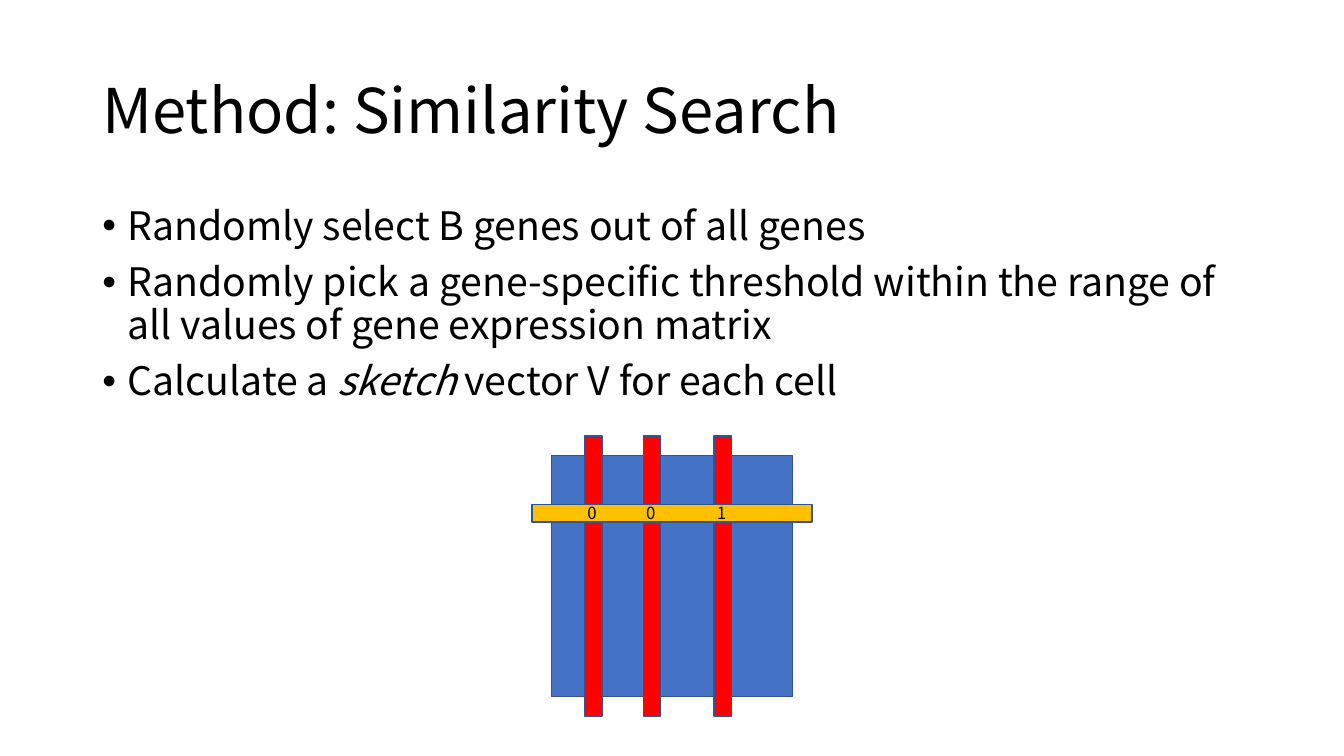
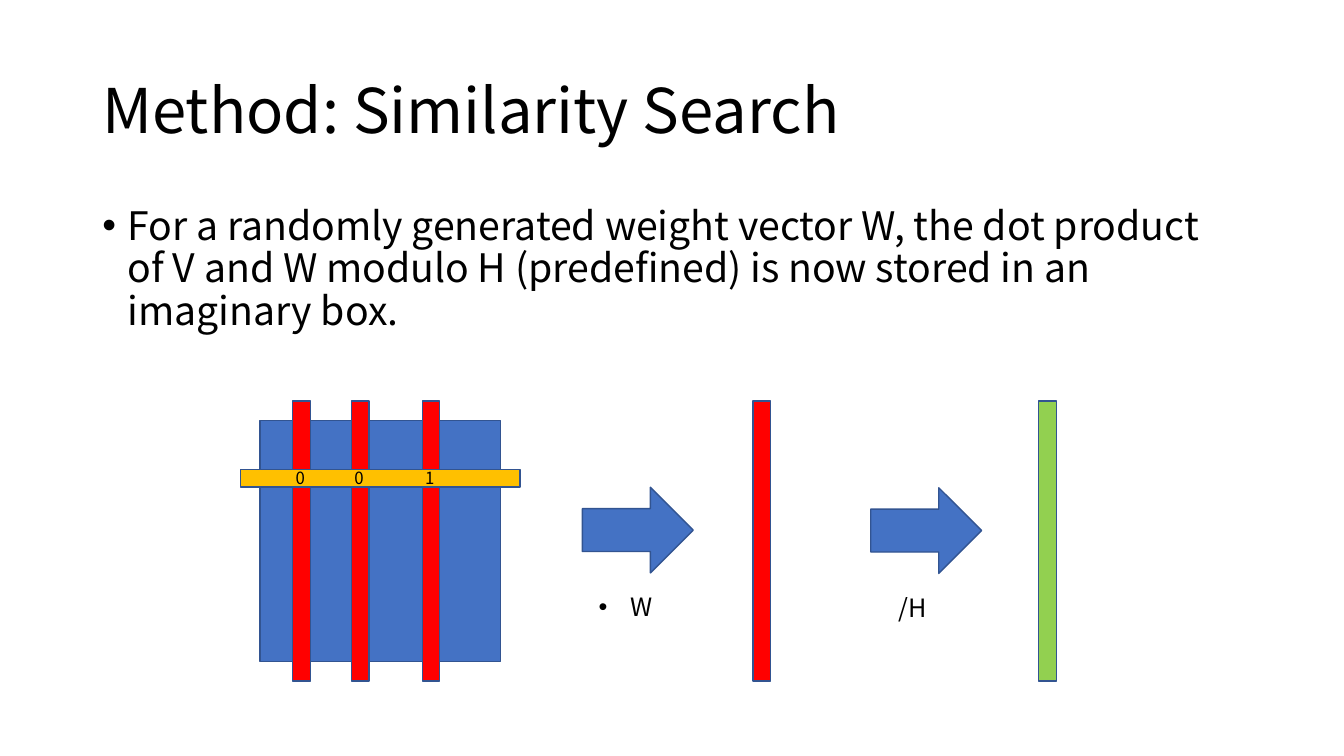
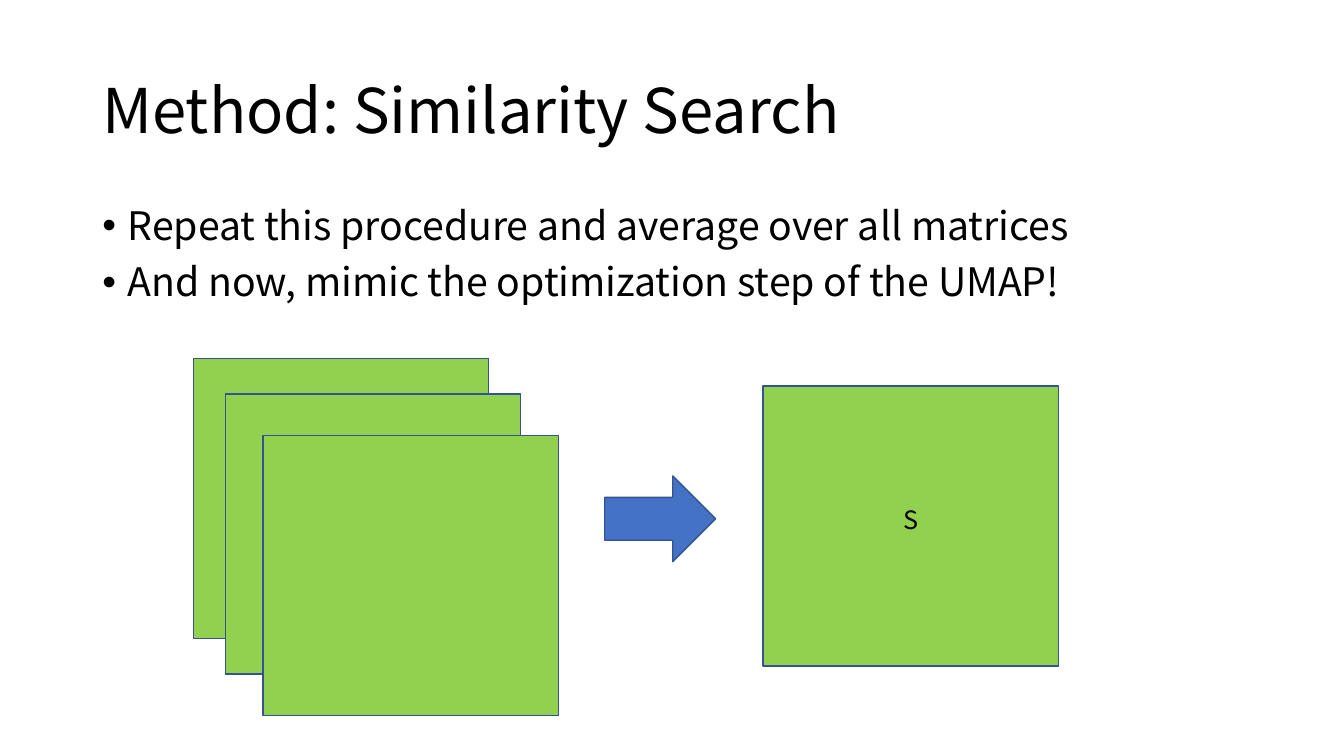
from dataclasses import dataclass

from lxml.etree import SubElement
from pptx import Presentation
from pptx.dml.color import RGBColor
from pptx.enum.shapes import MSO_SHAPE as Preset
from pptx.enum.text import MSO_ANCHOR as Anchor, MSO_AUTO_SIZE as AutoSize, PP_ALIGN as Align
from pptx.oxml.ns import qn
from pptx.util import Pt


@dataclass(frozen=True)
class Theme:
    font: str = "Noto Sans CJK KR"
    ink: str = "000000"
    paper: str = "FFFFFF"
    outline: str = "325491"
    blue: str = "4472C4"
    red: str = "FF0000"
    gold: str = "FFC000"
    green: str = "92D050"
    title_size: float = 44
    body_size: float = 28
    label_size: float = 18
    digit_size: float = 12


class Deck:
    """Draws slides in one theme, with every length in points."""

    bar_width = 12.5
    bar_length = 200
    sheet_width = 211
    overhang = 14

    def __init__(self, theme):
        self.theme = theme
        self.show = Presentation()
        self.show.slide_width, self.show.slide_height = Pt(960), Pt(540)
        self.slide = None

    def new_slide(self, title, points):
        self.slide = self.show.slides.add_slide(self.show.slide_layouts[1])
        background = self.slide.background.fill
        background.solid()
        background.fore_color.rgb = RGBColor.from_string(self.theme.paper)
        self.heading(title)
        self.points(points)

    def heading(self, title):
        holder = self.slide.shapes.title
        self.place(holder, 66, 28.8, 828, 104.4)
        frame = holder.text_frame
        frame.text = title
        frame.vertical_anchor = Anchor.MIDDLE
        frame.auto_size = AutoSize.NONE
        heading = frame.paragraphs[0]
        heading.alignment = Align.LEFT
        heading.line_spacing = 0.9
        self.style(heading, self.theme.title_size)

    def points(self, points):
        holder = self.slide.placeholders[1]
        self.place(holder, 66, 144, 828, 342.7)
        frame = holder.text_frame
        frame.auto_size = AutoSize.NONE
        frame.vertical_anchor = Anchor.TOP
        for index, pieces in enumerate(points):
            point = frame.add_paragraph() if index else frame.paragraphs[0]
            for piece, italic in pieces:
                run = point.add_run()
                run.text = piece
                if italic:
                    run.font.italic = True
            point.line_spacing = 0.9
            point.space_before = Pt(10 if index else 0)
            self.bullet(point, 18)
            self.style(point, self.theme.body_size)

    def place(self, holder, left, top, width, height):
        holder.left, holder.top = Pt(left), Pt(top)
        holder.width, holder.height = Pt(width), Pt(height)

    def bullet(self, paragraph, indent):
        properties = paragraph._p.get_or_add_pPr()
        properties.set("marL", str(Pt(indent)))
        properties.set("indent", str(Pt(-indent)))
        SubElement(properties, qn("a:buFont"), typeface="Arial")
        SubElement(properties, qn("a:buChar"), char="•")

    def style(self, paragraph, size):
        font = paragraph.font
        font.name = self.theme.font
        font.size = Pt(size)
        font.color.rgb = RGBColor.from_string(self.theme.ink)

    def block(self, left, top, width, height, colour, preset=Preset.RECTANGLE):
        block = self.slide.shapes.add_shape(preset, Pt(left), Pt(top), Pt(width), Pt(height))
        block.shadow.inherit = False
        block.fill.solid()
        block.fill.fore_color.rgb = RGBColor.from_string(colour)
        block.line.color.rgb = RGBColor.from_string(self.theme.outline)
        block.line.width = Pt(1)

    def bar(self, left, top, colour):
        self.block(left, top, self.bar_width, self.bar_length, colour)

    def sheet(self, left, top):
        self.block(left, top, self.sheet_width, self.bar_length, self.theme.green)

    def arrow(self, left, top):
        self.block(left, top, 79.2, 61.2, self.theme.blue, Preset.RIGHT_ARROW)

    def label(self, text, left, top, width, height, size, wrap=False, indent=0):
        box = self.slide.shapes.add_textbox(Pt(left), Pt(top), Pt(width), Pt(height))
        frame = box.text_frame
        frame.text = text
        frame.word_wrap = wrap
        frame.auto_size = AutoSize.SHAPE_TO_FIT_TEXT
        line = frame.paragraphs[0]
        if indent:
            self.bullet(line, indent)
        self.style(line, size)

    def matrix(self, left, top):
        side = self.bar_length - 2 * self.overhang
        genes = [(left + offset, digit) for offset, digit in ((23.5, "0"), (65.5, "0"), (116, "1"))]
        self.block(left, top, side, side, self.theme.blue)
        for gene, _ in genes:
            self.bar(gene, top - self.overhang, self.theme.red)
        self.block(left - self.overhang, top + 35, self.bar_length, self.bar_width, self.theme.gold)
        for gene, digit in genes:
            self.label(digit, gene - 5, top + 30.3, 22.3, 21.6, self.theme.digit_size, wrap=True)


def main():
    theme = Theme()
    deck = Deck(theme)
    title = "Method: Similarity Search"

    deck.new_slide(title, [
        [("Randomly select B genes out of all genes", False)],
        [("Randomly pick a gene-specific threshold within the range of all values of "
          "gene expression matrix", False)],
        [("Calculate a ", False), ("sketch", True), (" vector V for each cell", False)],
    ])
    deck.matrix(394, 325.4)

    deck.new_slide(title, [
        [("For a randomly generated weight vector W, the dot product of V and W modulo H "
          "(predefined) is now stored in an imaginary box.", False)],
    ])
    deck.matrix(185.6, 300.4)
    deck.arrow(416, 348)
    deck.label("W", 420.5, 419, 54.7, 28.8, theme.label_size, indent=22.5)
    deck.bar(538, 286.4, theme.red)
    deck.arrow(622, 348.4)
    deck.label("/H", 635, 419.8, 34.6, 28.8, theme.label_size)
    deck.bar(742, 286.4, theme.green)

    deck.new_slide(title, [
        [("Repeat this procedure and average over all matrices", False)],
        [("And now, mimic the optimization step of the UMAP!", False)],
    ])
    for left, top in ((138.2, 256), (161, 281.4), (187.8, 311)):
        deck.sheet(left, top)
    deck.arrow(432, 340)
    deck.sheet(545, 275.8)
    deck.label("S", 638, 356.4, 24.5, 28.8, theme.label_size)

    deck.show.save("out.pptx")


if __name__ == "__main__":
    main()
